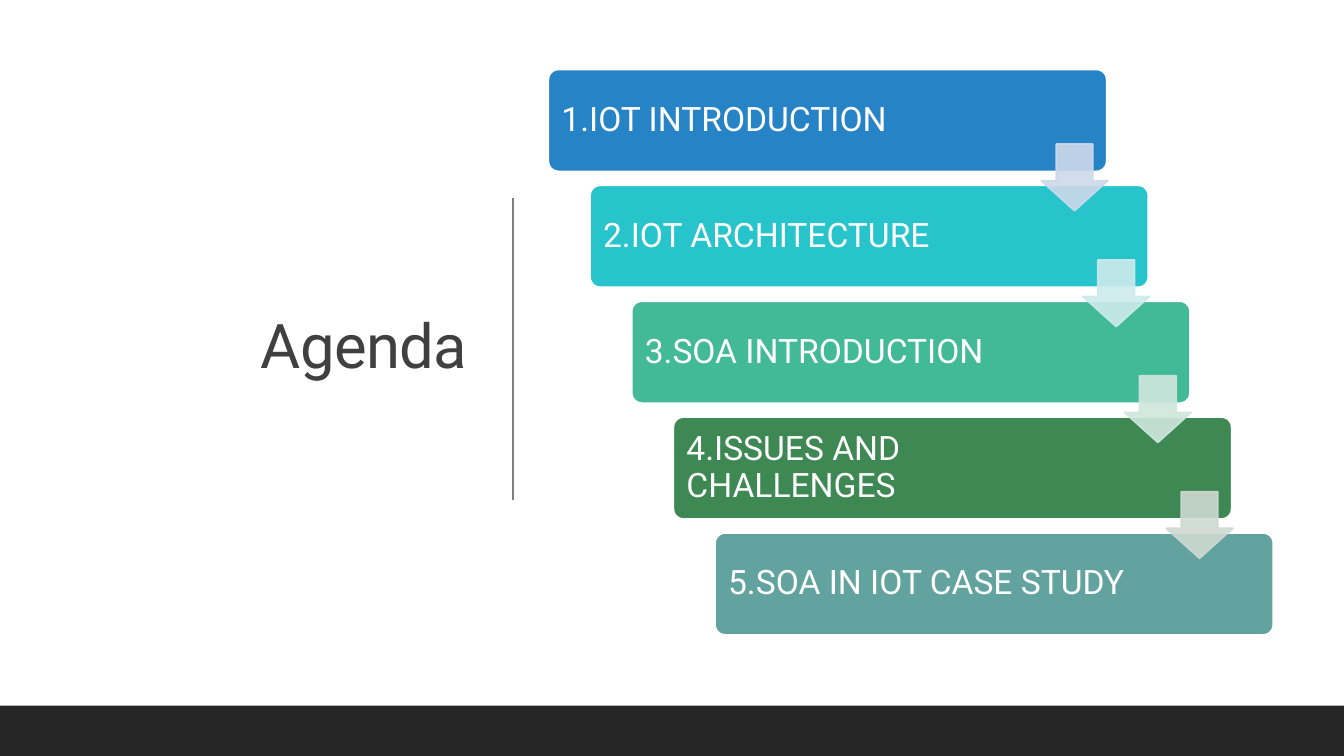
from dataclasses import dataclass

from lxml import etree
from pptx import Presentation
from pptx.dml.color import RGBColor
from pptx.enum.shapes import MSO_CONNECTOR, MSO_SHAPE
from pptx.enum.text import MSO_ANCHOR, PP_ALIGN
from pptx.oxml.ns import qn
from pptx.util import Cm, Pt

RECTANGLE = MSO_SHAPE.RECTANGLE
ROUNDED = MSO_SHAPE.ROUNDED_RECTANGLE
DOWN_ARROW = MSO_SHAPE.DOWN_ARROW
STRAIGHT = MSO_CONNECTOR.STRAIGHT
MIDDLE = MSO_ANCHOR.MIDDLE
LEFT, RIGHT = PP_ALIGN.LEFT, PP_ALIGN.RIGHT

SLIDE_WIDTH, SLIDE_HEIGHT = 33.87, 19.05
FOOTER_HEIGHT = 1.27
STEP_LEFT, STEP_TOP = 13.82, 1.75
STEP_WIDTH, STEP_HEIGHT = 14.07, 2.57
SHIFT_RIGHT, SHIFT_DOWN = 1.05, 2.92
TEXT_INSET, TEXT_WIDTH = 0.08, 11.2
ARROW_RIGHT, ARROW_DOWN, ARROW_SIZE = 12.42, 1.88, 1.68

# Label, box colour, colour of the arrow to the next step
STEPS = [
    ("1.IOT INTRODUCTION", "2683C6", "CDD9EA"),
    ("2.IOT ARCHITECTURE", "28C4CC", "CDEAEC"),
    ("3.SOA INTRODUCTION", "42BA97", "CFE7DD"),
    ("4.ISSUES AND CHALLENGES", "3E8853", "CEDAD1"),
    ("5.SOA IN IOT CASE STUDY", "62A39F", None),
]


@dataclass(frozen=True)
class Theme:
    font: str = "Roboto"
    title_size: float = 44
    step_size: float = 24
    outline_width: float = 1.25
    divider_width: float = 1
    title: str = "404040"
    light: str = "FFFFFF"
    divider: str = "808080"
    footer: str = "262626"


class SlideBuilder:
    def __init__(self, slide, theme):
        self.slide = slide
        self.theme = theme

    def block(self, kind, left, top, width, height, fill, outline=None,
              adjustments=(), opacity=None):
        """Add a filled preset shape; opacity, in percent, covers fill and outline."""
        shape = self.slide.shapes.add_shape(
            kind, Cm(left), Cm(top), Cm(width), Cm(height))
        shape.shadow.inherit = False
        for index, value in enumerate(adjustments):
            shape.adjustments[index] = value
        shape.fill.solid()
        shape.fill.fore_color.rgb = RGBColor.from_string(fill)
        if outline:
            shape.line.color.rgb = RGBColor.from_string(outline)
            shape.line.width = Pt(self.theme.outline_width)
        else:
            shape.line.fill.background()
        if opacity is not None:
            for color in shape._element.spPr.iter(qn("a:srgbClr")):
                etree.SubElement(color, qn("a:alpha"), val=str(opacity * 1000))

    def text(self, text, left, top, width, height, size, color,
             align=LEFT, spacing=None):
        """Add a vertically centred text; spacing is between letters, in points."""
        box = self.slide.shapes.add_textbox(
            Cm(left), Cm(top), Cm(width), Cm(height))
        frame = box.text_frame
        frame.word_wrap = True
        frame.vertical_anchor = MIDDLE
        frame.margin_left = frame.margin_right = Cm(0.25)
        frame.margin_top = frame.margin_bottom = Cm(0.25)
        paragraph = frame.paragraphs[0]
        paragraph.text = text
        paragraph.alignment = align
        paragraph.line_spacing = 0.9
        paragraph.font.name = self.theme.font
        paragraph.font.size = Pt(size)
        paragraph.font.color.rgb = RGBColor.from_string(color)
        if spacing is not None:
            properties = paragraph.runs[0]._r.get_or_add_rPr()
            properties.set("spc", str(int(spacing * 100)))

    def vertical_line(self, left, top, bottom):
        line = self.slide.shapes.add_connector(
            STRAIGHT, Cm(left), Cm(top), Cm(left), Cm(bottom))
        line.line.color.rgb = RGBColor.from_string(self.theme.divider)
        line.line.width = Pt(self.theme.divider_width)
        etree.SubElement(line._element.spPr, qn("a:effectLst"))

    def step(self, index, label, fill):
        left = STEP_LEFT + index * SHIFT_RIGHT
        top = STEP_TOP + index * SHIFT_DOWN
        self.block(ROUNDED, left, top, STEP_WIDTH, STEP_HEIGHT, fill,
                   outline=self.theme.light, adjustments=[0.1])
        self.text(label, left + TEXT_INSET, top + TEXT_INSET, TEXT_WIDTH,
                  STEP_HEIGHT - 2 * TEXT_INSET, self.theme.step_size,
                  self.theme.light)

    def step_arrow(self, index, color):
        self.block(DOWN_ARROW,
                   STEP_LEFT + ARROW_RIGHT + index * SHIFT_RIGHT,
                   STEP_TOP + ARROW_DOWN + index * SHIFT_DOWN,
                   ARROW_SIZE, ARROW_SIZE, color, outline=color,
                   adjustments=[0.55, 0.45], opacity=90)


def main():
    presentation = Presentation()
    presentation.slide_width = Cm(SLIDE_WIDTH)
    presentation.slide_height = Cm(SLIDE_HEIGHT)
    theme = Theme()
    builder = SlideBuilder(
        presentation.slides.add_slide(presentation.slide_layouts[6]), theme)

    builder.text("Agenda", 1.78, 1.75, 10.24, 14.05, theme.title_size,
                 theme.title, align=RIGHT, spacing=-0.5)
    builder.vertical_line(12.93, 4.98, 12.6)
    builder.block(RECTANGLE, 0, SLIDE_HEIGHT - FOOTER_HEIGHT, SLIDE_WIDTH,
                  FOOTER_HEIGHT, theme.footer)

    for index, (label, fill, _) in enumerate(STEPS):
        builder.step(index, label, fill)
    for index, (_, _, arrow_color) in enumerate(STEPS):
        if arrow_color:
            builder.step_arrow(index, arrow_color)

    presentation.save("out.pptx")


if __name__ == "__main__":
    main()
